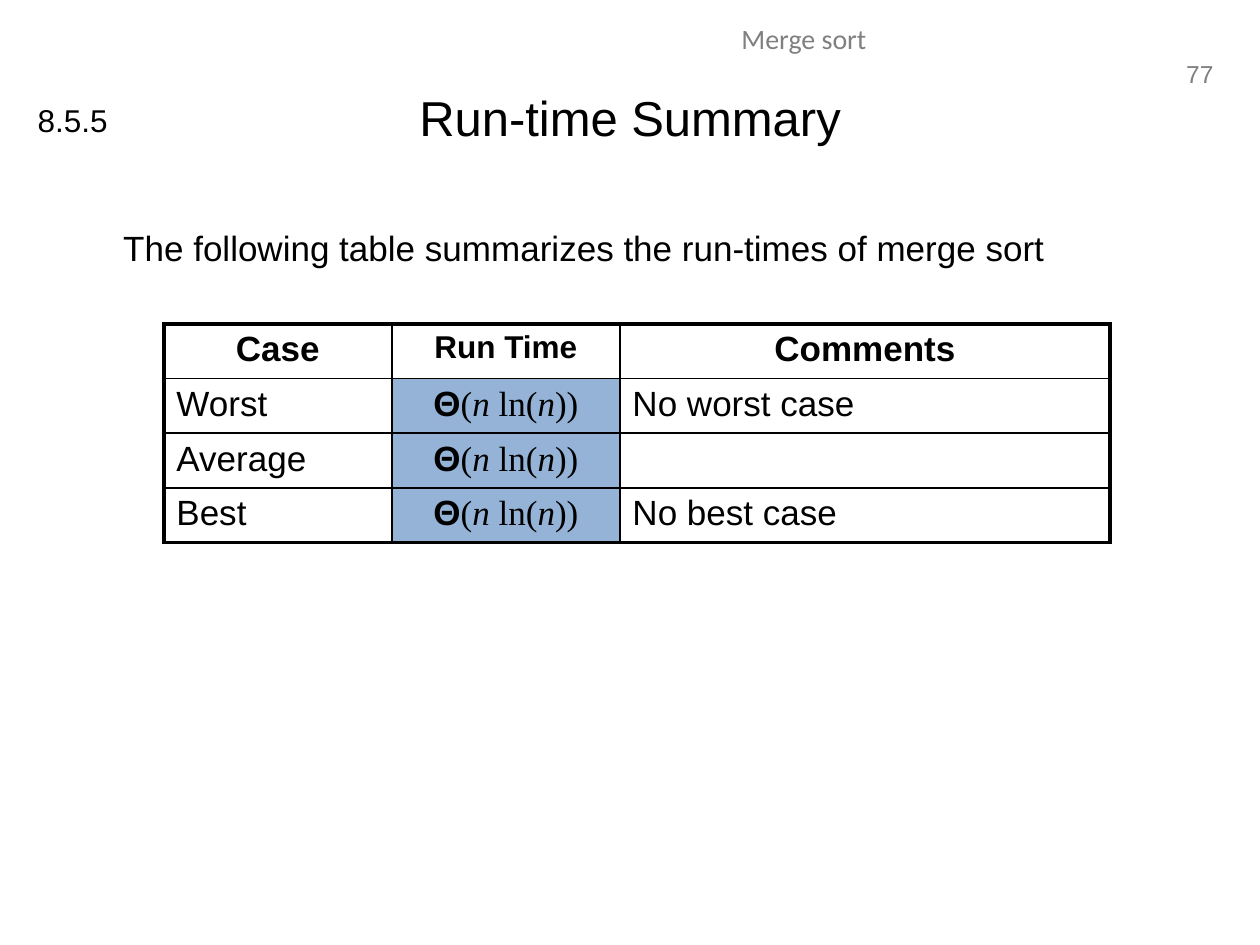
from typing import NamedTuple

from pptx import Presentation
from pptx.dml.color import RGBColor
from pptx.enum.text import MSO_ANCHOR as Anchor, PP_ALIGN as Align
from pptx.oxml.ns import qn
from pptx.util import Inches, Pt
from lxml.etree import SubElement

BLACK, GREY, BLUE = "000000", "808080", "95B3D7"
THIN, THICK = 1, 2.25


class Run(NamedTuple):
    text: str
    font: str = "Arial"
    bold: bool = False
    italic: bool = False


class Label(NamedTuple):
    text: str
    left: float
    top: float
    width: float
    height: float
    size: int
    color: str = BLACK
    font: str = "Arial"
    align: Align = Align.LEFT
    wrap: bool = True


MATH = "Times New Roman"
N_LOG_N = [
    Run("Θ", bold=True), Run("(", MATH), Run("n ", MATH, italic=True),
    Run("ln(", MATH), Run("n", MATH, italic=True), Run("))", MATH),
]
HEADINGS = [("Case", 20), ("Run Time", 18), ("Comments", 20)]
CASES = [("Worst", "No worst case"), ("Average", ""), ("Best", "No best case")]
COLUMN_WIDTHS = [1.81, 1.81, 3.89]
ROW_HEIGHT = 0.43

LABELS = [
    Label("77", 9.29, 0.42, 0.44, 0.33, 14, GREY, align=Align.RIGHT, wrap=False),
    Label("Merge sort", 3.19, 0.12, 6.38, 0.4, 16, GREY, "Calibri", Align.CENTER),
    Label("8.5.5", 0.2, 0.75, 0.76, 0.4, 18, wrap=False),
]
SUMMARY = Label("\tThe following table summarizes the run-times of merge sort",
                0.5, 1.75, 9, 4.95, 20)


def rgb(color: str) -> RGBColor:
    return RGBColor.from_string(color)


def style(font, size: int, color: str = BLACK, name: str = "Arial",
          bold: bool = False, italic: bool = False) -> None:
    font.size, font.name = Pt(size), name
    font.bold, font.italic = bold, italic
    font.color.rgb = rgb(color)


def add_label(slide, label: Label):
    box = slide.shapes.add_textbox(Inches(label.left), Inches(label.top),
                                   Inches(label.width), Inches(label.height))
    frame = box.text_frame
    frame.word_wrap = label.wrap
    frame.text = label.text
    paragraph = frame.paragraphs[0]
    paragraph.alignment = label.align
    style(paragraph.runs[0].font, label.size, label.color, label.font)
    return paragraph


def set_borders(cell, widths: dict[str, float]) -> None:
    """Draw the sides, given in schema order: L, R, T, B."""
    properties = cell._tc.get_or_add_tcPr()
    for side, width in widths.items():
        line = SubElement(properties, qn(f"a:ln{side}"), w=str(Pt(width)))
        fill = SubElement(line, qn("a:solidFill"))
        SubElement(fill, qn("a:srgbClr"), val=BLACK)


def fill_cell(cell, runs: list[Run], size: int, align: Align) -> None:
    paragraph = cell.text_frame.paragraphs[0]
    paragraph.alignment = align
    for part in runs:
        run = paragraph.add_run()
        run.text = part.text
        style(run.font, size, BLACK, part.font, part.bold, part.italic)


def add_run_time_table(slide) -> None:
    row_count, column_count = len(CASES) + 1, len(COLUMN_WIDTHS)
    table = slide.shapes.add_table(
        row_count, column_count, Inches(1.3), Inches(2.57),
        Inches(sum(COLUMN_WIDTHS)), Inches(ROW_HEIGHT * row_count)).table
    table.first_row = table.horz_banding = False
    for column, width in zip(table.columns, COLUMN_WIDTHS):
        column.width = Inches(width)
    for row in table.rows:
        row.height = Inches(ROW_HEIGHT)

    # Thick outer frame, thin inner grid, shaded run times
    for r in range(row_count):
        for c in range(column_count):
            cell = table.cell(r, c)
            edges = {"L": c == 0, "R": c == column_count - 1,
                     "T": r == 0, "B": r == row_count - 1}
            set_borders(cell, {side: THICK if outer else THIN
                               for side, outer in edges.items()})
            if r > 0 and c == 1:
                cell.fill.solid()
                cell.fill.fore_color.rgb = rgb(BLUE)
            else:
                cell.fill.background()

    # Wording
    for c, (heading, size) in enumerate(HEADINGS):
        fill_cell(table.cell(0, c), [Run(heading, bold=True)], size, Align.CENTER)
    for r, (case, comment) in enumerate(CASES, start=1):
        fill_cell(table.cell(r, 0), [Run(case)], 20, Align.LEFT)
        fill_cell(table.cell(r, 1), N_LOG_N, 20, Align.CENTER)
        if comment:
            fill_cell(table.cell(r, 2), [Run(comment)], 20, Align.LEFT)


def main() -> None:
    deck = Presentation()
    deck.slide_width, deck.slide_height = Inches(10), Inches(7.5)
    slide = deck.slides.add_slide(deck.slide_layouts[5])

    # Title
    title = slide.shapes.title
    title.left, title.top = Inches(0.5), Inches(0.3)
    title.width, title.height = Inches(9), Inches(1.25)
    title.text_frame.text = "Run-time Summary"
    title.text_frame.vertical_anchor = Anchor.MIDDLE
    heading = title.text_frame.paragraphs[0]
    heading.alignment = Align.CENTER
    style(heading.runs[0].font, 28)

    # Page header, section number and hanging summary line
    for label in LABELS:
        add_label(slide, label)
    indents = add_label(slide, SUMMARY)._p.get_or_add_pPr()
    indents.set("marL", str(Inches(0.38)))
    indents.set("indent", str(Inches(-0.38)))

    add_run_time_table(slide)
    deck.save("out.pptx")


if __name__ == "__main__":
    main()
